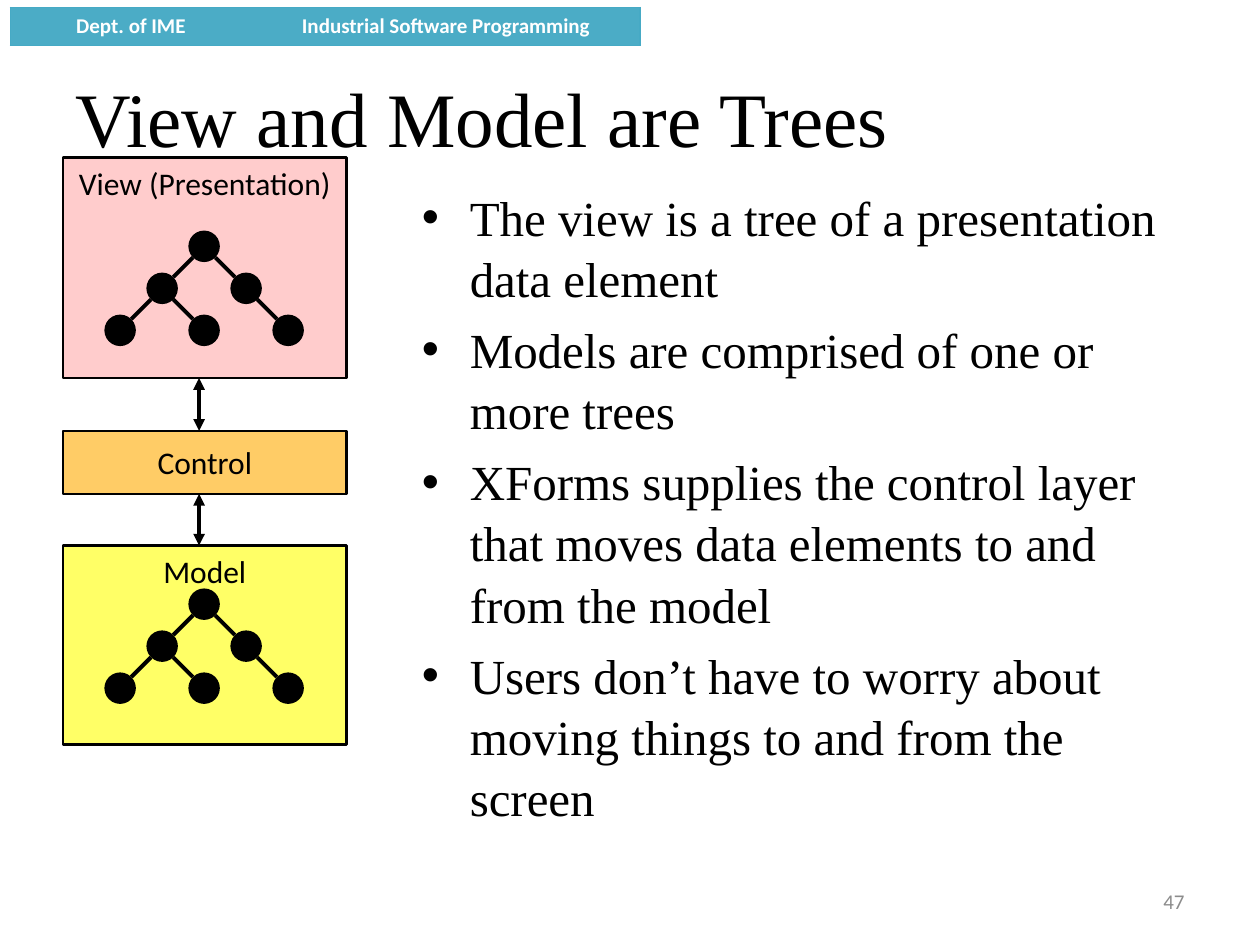
import pptx
import pptx.util
import pptx.dml.color
import pptx.enum.shapes
import pptx.enum.text
import pptx.oxml
import pptx.oxml.ns
from lxml import etree

Inches, Pt = pptx.util.Inches, pptx.util.Pt
ALIGN, ANCHOR = pptx.enum.text.PP_ALIGN, pptx.enum.text.MSO_ANCHOR
SHAPE = pptx.enum.shapes.MSO_SHAPE
qn = pptx.oxml.ns.qn

# Content
COLORS = {"black": "000000", "white": "FFFFFF", "grey": "8C8C8C",
          "banner": "4BACC6", "border": "46AAC5",
          "view": "FFCCCC", "control": "FFCC66", "model": "FFFF66"}
TITLE = "View and Model are Trees"
BANNER = [("Dept. of IME", 1.92), ("Industrial Software Programming", 3.08)]
BULLETS = [
    "The view is a tree of a presentation data element",
    "Models are comprised of one or more trees",
    "XForms supplies the control layer that moves data elements to and from the model",
    "Users don’t have to worry about moving things to and from the screen",
]
PAGE = "47"
# label, colour, top, height, anchor, top of its tree
LAYERS = [("View (Presentation)", "view", 1.25, 1.75, ANCHOR.TOP, 1.83),
          ("Control", "control", 3.42, 0.5, ANCHOR.MIDDLE, None),
          ("Model", "model", 4.33, 1.58, ANCHOR.TOP, 4.67)]
# nodes as (column, row) steps from the root, edges as (parent, child)
NODES = [(0, 0), (-1, 1), (1, 1), (-2, 2), (0, 2), (2, 2)]
EDGES = [(0, 1), (0, 2), (1, 3), (1, 4), (2, 5)]
LAYER_LEFT, LAYER_WIDTH = 0.5, 2.25
ROOT_X, NODE, STEP = 1.62, 0.25, 1 / 3
ARROW_X = 1.58


def rgb(name):
    return pptx.dml.color.RGBColor.from_string(COLORS[name])


def style(p, size, font="Calibri", color="black", bold=False, align=ALIGN.LEFT):
    p.alignment = align
    for r in p.runs:
        r.font.size, r.font.name, r.font.bold = Pt(size), font, bold
        r.font.color.rgb = rgb(color)


def add_shape(shapes, kind, x, y, w, h, color):
    sp = shapes.add_shape(kind, Inches(x), Inches(y), Inches(w), Inches(h))
    sp.shadow.inherit = False
    sp.fill.solid()
    sp.fill.fore_color.rgb = rgb(color)
    return sp


def add_line(shapes, x1, y1, x2, y2, arrows=False):
    c = shapes.add_connector(pptx.enum.shapes.MSO_CONNECTOR.STRAIGHT,
                             Inches(x1), Inches(y1), Inches(x2), Inches(y2))
    c.line.width = Pt(2.25)
    c.line.color.rgb = rgb("black")
    if arrows:
        for end in ("a:headEnd", "a:tailEnd"):
            etree.SubElement(c.line._get_or_add_ln(), qn(end), type="triangle")
    etree.SubElement(c._element.spPr, qn("a:effectLst"))


def add_tree(slide, top):
    shapes = slide.shapes.add_group_shape().shapes
    centers = [(ROOT_X + col * STEP, top + NODE / 2 + row * STEP) for col, row in NODES]
    for x, y in centers:
        node = add_shape(shapes, SHAPE.OVAL, x - NODE / 2, y - NODE / 2, NODE, NODE, "black")
        node.line.fill.background()
    inset = NODE / 2 * 0.71  # edges meet the circles on the diagonal
    for parent, child in EDGES:
        (x1, y1), (x2, y2) = centers[parent], centers[child]
        dx = inset if x2 > x1 else -inset
        add_line(shapes, x1 + dx, y1 + inset, x2 - dx, y2 - inset)


def add_text(slide, x, y, w, h, lines):
    tf = slide.shapes.add_textbox(Inches(x), Inches(y), Inches(w), Inches(h)).text_frame
    tf.word_wrap = True
    tf.text = "\n".join(lines)
    return tf


def set_borders(cell, shown):
    tcPr = cell._tc.get_or_add_tcPr()
    for i, side in enumerate("LRTB"):
        ln = etree.Element(qn("a:ln" + side), w=str(Pt(0.75)))
        if side in shown:
            fill = etree.SubElement(ln, qn("a:solidFill"))
            etree.SubElement(fill, qn("a:srgbClr"), val=COLORS["border"])
        else:
            etree.SubElement(ln, qn("a:noFill"))
        tcPr.insert(i, ln)


def main():
    prs = pptx.Presentation()
    prs.slide_width, prs.slide_height = Inches(10), Inches(7.5)
    s = prs.slides.add_slide(prs.slide_layouts[5])

    # Title
    title = s.shapes.title
    title.left, title.top = Inches(0.5), Inches(0.3)
    title.width, title.height = Inches(9), Inches(1.25)
    tf = title.text_frame
    tf.text = TITLE
    tf.auto_size = pptx.enum.text.MSO_AUTO_SIZE.NONE
    tf.vertical_anchor = ANCHOR.MIDDLE
    style(tf.paragraphs[0], 44, "Times New Roman")

    # Banner
    table = s.shapes.add_table(1, len(BANNER), Inches(0.08), Inches(0.06),
                               Inches(5), Inches(0.3)).table
    for i, ((text, width), sides) in enumerate(zip(BANNER, ("LTB", "RTB"))):
        table.columns[i].width = Inches(width)
        cell = table.cell(0, i)
        cell.text = text
        cell.fill.solid()
        cell.fill.fore_color.rgb = rgb("banner")
        set_borders(cell, sides)
        style(cell.text_frame.paragraphs[0], 12, color="white", bold=True, align=ALIGN.CENTER)

    # Bullets
    for i, p in enumerate(add_text(s, 3.25, 1.42, 6.25, 5.28, BULLETS).paragraphs):
        pPr = p._p.get_or_add_pPr()
        pPr.set("marL", str(Inches(0.38)))
        pPr.set("indent", str(-Inches(0.38)))
        etree.SubElement(pPr, qn("a:buFont"), typeface="Arial")
        etree.SubElement(pPr, qn("a:buChar"), char="•")
        p.line_spacing = 1.04
        p.space_before = Pt(5.6 if i else 0)
        style(p, 28, "Times New Roman")

    # Layers and their trees
    for label, color, top, height, anchor, tree_top in LAYERS:
        sp = add_shape(s.shapes, SHAPE.RECTANGLE, LAYER_LEFT, top, LAYER_WIDTH, height, color)
        sp.line.color.rgb = rgb("black")
        sp.line.width = Pt(1.5)
        tf = sp.text_frame
        tf.text = label
        tf.word_wrap = False
        tf.vertical_anchor = anchor
        style(tf.paragraphs[0], 18, align=ALIGN.CENTER)
        if tree_top is not None:
            add_tree(s, tree_top)

    # Arrows between neighbouring layers
    for upper, lower in zip(LAYERS, LAYERS[1:]):
        add_line(s.shapes, ARROW_X, upper[2] + upper[3], ARROW_X, lower[2], arrows=True)

    # Page number
    tf = add_text(s, 7.17, 6.95, 2.33, 0.4, [PAGE])
    tf.vertical_anchor = ANCHOR.MIDDLE
    style(tf.paragraphs[0], 12, color="grey", align=ALIGN.RIGHT)

    prs.save("out.pptx")


if __name__ == "__main__":
    main()
